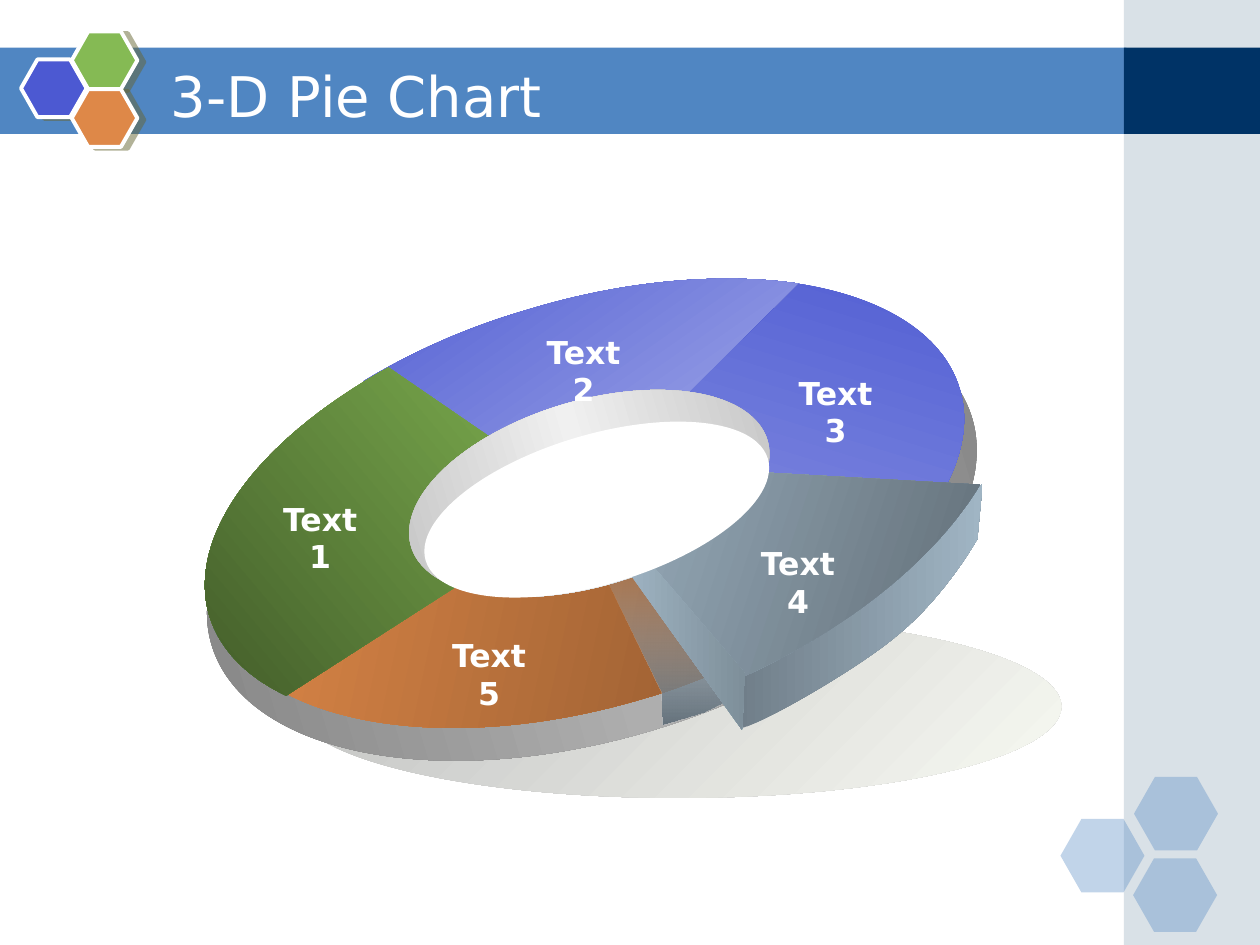
from dataclasses import dataclass
from math import cos, radians, sin

from lxml import etree
from pptx import Presentation
from pptx.dml.color import RGBColor
from pptx.enum.shapes import MSO_SHAPE
from pptx.enum.text import MSO_ANCHOR, PP_ALIGN
from pptx.oxml.ns import qn
from pptx.util import Pt

RECT, OVAL, HEXAGON = MSO_SHAPE.RECTANGLE, MSO_SHAPE.OVAL, MSO_SHAPE.HEXAGON
MIDDLE, TOP = MSO_ANCHOR.MIDDLE, MSO_ANCHOR.TOP
LEFT, CENTER = PP_ALIGN.LEFT, PP_ALIGN.CENTER


@dataclass(frozen=True)
class Theme:
    font: str = "DejaVu Sans"
    title_size: int = 32
    label_size: int = 18
    white: str = "FFFFFF"
    band: str = "5086C2"
    navy: str = "003366"
    steel: str = "A0B5C4"
    blue: str = "4C59D2"
    green: str = "85BA54"
    orange: str = "DE8848"
    olive: str = "666633"
    silver: str = "C0C0C0"


THEME = Theme()
TILT = 343.4


def add_color(parent, color, alpha=None):
    node = etree.SubElement(parent, qn("a:srgbClr"), val=color)
    if alpha is not None:
        etree.SubElement(node, qn("a:alpha"), val=str(alpha * 1000))


def paint(shape, colors, angle=0, alpha=None):
    """Fill with one colour, or evenly spaced gradient colours; alpha is for the first."""
    shape.shadow.inherit = False
    shape.line.fill.background()
    if isinstance(colors, str):
        shape.fill.solid()
        shape.fill.fore_color.rgb = RGBColor.from_string(colors)
        if alpha is not None:
            color = shape._element.spPr.find(".//" + qn("a:srgbClr"))
            etree.SubElement(color, qn("a:alpha"), val=str(alpha * 1000))
        return
    shape.fill.gradient()
    shape.fill.gradient_angle = -angle % 360
    stops = shape._element.spPr.find(".//" + qn("a:gsLst"))
    for stop in list(stops):
        stops.remove(stop)
    for i, color in enumerate(colors):
        position = str(100000 * i // (len(colors) - 1))
        stop = etree.SubElement(stops, qn("a:gs"), pos=position)
        add_color(stop, color, alpha if i == 0 else None)


def add_preset(page, kind, left, top, width, height, colors, angle=0, alpha=None):
    shape = page.shapes.add_shape(kind, Pt(left), Pt(top), Pt(width), Pt(height))
    paint(shape, colors, angle, alpha)
    return shape


def add_text(page, left, top, width, height, text, size, bold, align, anchor):
    box = page.shapes.add_textbox(Pt(left), Pt(top), Pt(width), Pt(height))
    frame = box.text_frame
    frame.word_wrap = True
    frame.vertical_anchor = anchor
    para = frame.paragraphs[0]
    para.text = text
    para.alignment = align
    para.font.name = THEME.font
    para.font.size = Pt(size)
    para.font.bold = bold
    para.font.color.rgb = RGBColor.from_string(THEME.white)


def turn(x, y, degrees):
    angle = radians(degrees)
    return x * cos(angle) - y * sin(angle), x * sin(angle) + y * cos(angle)


def bend(shape, segments):
    """Join the three lines that stand for each six-number segment into one curve."""
    lines = iter(shape._element.spPr.findall(".//" + qn("a:lnTo")))
    for segment in segments:
        line = next(lines)
        if len(segment) == 6:
            line.tag = qn("a:cubicBezTo")
            for _ in range(2):
                other = next(lines)
                line.append(other[0])
                other.getparent().remove(other)


def add_outline(page, left, top, start, segments, colors, angle=0, alpha=None, tilt=0):
    """Draw lines (x, y) and Bezier curves (three points), in a frame turned by tilt."""
    points = [start]
    for segment in segments:
        points += zip(segment[::2], segment[1::2])
    points = [turn(Pt(left + x), Pt(top + y), -tilt) for x, y in points]
    builder = page.shapes.build_freeform(*points[0], scale=1.0)
    builder.add_line_segments(points[1:], close=True)
    shape = builder.convert_to_shape()
    bend(shape, segments)
    half_width, half_height = shape.width / 2, shape.height / 2
    x, y = turn(shape.left + half_width, shape.top + half_height, tilt)
    shape.left, shape.top = round(x - half_width), round(y - half_height)
    shape.rotation = tilt
    paint(shape, colors, angle - tilt, alpha)


def add_hexagons(page, left, top, width, height, cells, alpha=None):
    shapes = []
    for x, y, color in cells:
        shape = add_preset(page, HEXAGON, left + x, top + y, width, height, color, alpha=alpha)
        shape.adjustments[0] = 0.285
        shapes.append(shape)
    return shapes


def add_backdrop(page, width, height):
    side = 642.24
    add_preset(page, RECT, -0.5, 27.25, side + 2, 49.25, THEME.band)
    add_preset(page, RECT, side, 0, width - side, height, THEME.steel, alpha=40)
    add_preset(page, RECT, side, 27.25, width - side, 49.25, THEME.navy)
    add_hexagons(page, 606, 444, 48, 42,
                 [(0, 24, THEME.band), (42, 0, THEME.band), (41.5, 46.5, THEME.band)], 35)


def add_header(page, left, top):
    cells = [(0, 16, THEME.blue), (29, 0, THEME.green), (29, 33, THEME.orange)]
    for shape in add_hexagons(page, left, top, 37.5, 33, cells):
        shape.line.color.rgb = RGBColor.from_string(THEME.white)
        shape.line.width = Pt(2.25)
        effects = shape._element.spPr.find(qn("a:effectLst"))
        shadow = etree.SubElement(effects, qn("a:outerShdw"), blurRad="0",
                                  dist=str(Pt(4.1)), dir=str(14 * 60000),
                                  algn="ctr", rotWithShape="0")
        add_color(shadow, THEME.olive, 50)
    add_text(page, left + 78.5, top + 12.25, 588, 48, "3-D Pie Chart",
             THEME.title_size, False, LEFT, MIDDLE)


def add_ring(page, left, top):
    def disc(x, y, width, height, colors, angle=0, tilt=TILT):
        shape = add_preset(page, OVAL, left + x, top + y, width, height, colors, angle)
        shape.rotation = tilt

    def outline(start, segments, colors, angle=0, alpha=None, tilt=0):
        add_outline(page, left, top, start, segments, colors, angle, alpha, tilt)

    def label(x, y, text):
        add_text(page, left + x, top + y, 64, 29, text,
                 THEME.label_size, True, CENTER, TOP)

    disc(60.5, 191.5, 438, 104.5, (THEME.silver, "F7F9F2"), 45, 0)
    disc(3.5, 25, 453.5, 237.5, ("808080", "AEAEAE", "808080"))
    disc(8, 13, 438, 230.5, ("2791BB", "000000"), 62)

    slices = [
        ((330.5, 0), [(389.5, 5, 430.5, 28, 440.5, 62.5), (447, 84, 440.5, 108.5, 422.5, 134),
                      (225.5, 126.5)], (THEME.blue, "8D96E2"), 107),
        ((19.5, 203.5), [(49, 256, 152.5, 271.5, 260.5, 239), (273, 235.5, 284.5, 231, 296, 226.5),
                         (227.5, 127.5)], (THEME.orange, "9B5F32"), 12),
        ((99.5, 58), [(127.5, 41, 159, 27, 193.5, 17), (247.5, 0.5, 302.5, -4.5, 348, 2),
                      (225.5, 123.5)], (THEME.blue, "B3B9EC"), 55),
        ((114, 50), [(39, 91.5, -1.5, 146.5, 11.5, 191.5), (17.5, 211, 32.5, 226.5, 55.5, 237.5),
                     (227, 127.5)], (THEME.green, "3E5627"), 140),
    ]
    for part in slices:
        outline(*part, tilt=TILT)
    disc(122.5, 69, 212.5, 106, (THEME.silver, "F0F0F0", THEME.silver))

    for x, y, text in [(43, 122, "Text1"), (193.5, 26.5, "Text2"),
                       (337.5, 50, "Text3"), (139.5, 200, "Text5")]:
        label(x, y, text)

    gap = [(270, 235.5), (270.5, 254), (294, 247), (306, 241), (252, 169)]
    outline((238.5, 171), gap, (THEME.steel, "66737D"), 90, 19)
    outer_wall = [(453.5, 116.5), (450.5, 148), (442, 162.5, 425.5, 186.5, 403, 204.5),
                  (381, 222.5, 330.5, 252, 316, 256), (314, 246, 316, 227.5, 316, 227.5)]
    outline((316, 227.5), outer_wall, ("707E89", THEME.steel))
    pulled_slice = [(425.5, 161, 373.5, 202, 309.5, 230), (223, 104)]
    outline((452, 117), pulled_slice, (THEME.steel, "5C6871"), 18, tilt=342.3)
    cut_wall = [(316, 257), (245.5, 159), (257, 154)]
    outline((318, 225), cut_wall, (THEME.steel, "7E8F9A"))
    disc(131, 88.5, 204, 85.5, THEME.white)
    label(316, 147.5, "Text4")


def main():
    deck = Presentation()
    deck.slide_width, deck.slide_height = Pt(720), Pt(540)
    page = deck.slides.add_slide(deck.slide_layouts[6])
    add_backdrop(page, 720, 540)
    add_header(page, 12, 18)
    add_ring(page, 108, 160)
    deck.save("out.pptx")


if __name__ == "__main__":
    main()
